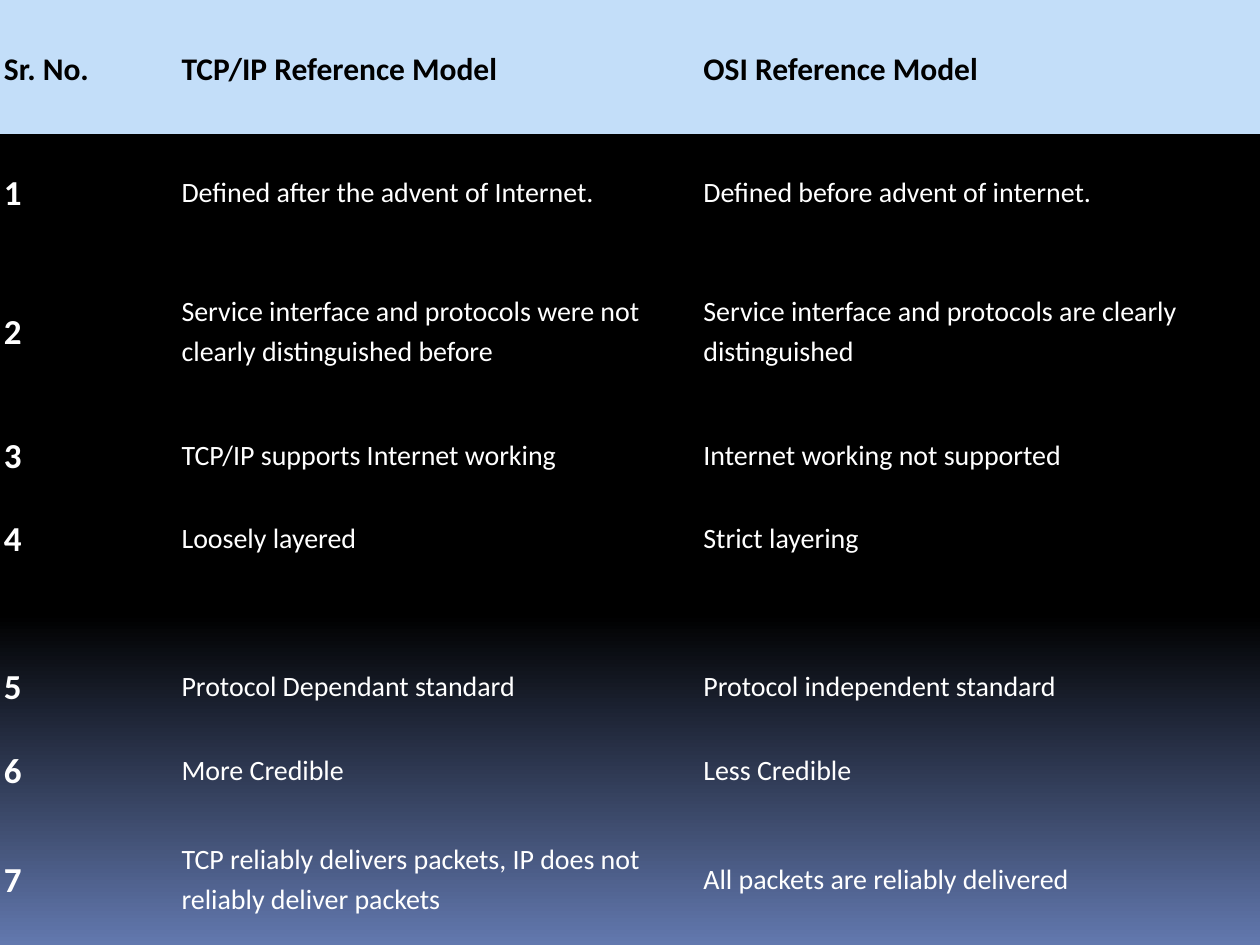
from copy import deepcopy
from pptx import Presentation
from pptx.dml.color import RGBColor
from pptx.enum.text import MSO_ANCHOR
from pptx.oxml.ns import qn
from pptx.util import Cm, Pt

MIDDLE = MSO_ANCHOR.MIDDLE
NO_STYLE = "{2D5ABB26-0587-4C30-8999-92F81FD0307C}"
COLS = [3.58, 10.52, 11.3]
HEIGHTS = [2.69, 2.29, 3.3, 1.68, 1.68, 1.3, 1.68, 1.68, 2.72]
ROWS = [
    ("Sr. No.", "TCP/IP Reference Model", "OSI Reference Model"),
    ("1", "Defined after the advent of Internet.", "Defined before advent of internet."),
    ("2", "Service interface and protocols were not clearly distinguished before",
     "Service interface and protocols are clearly distinguished"),
    ("3", "TCP/IP supports Internet working", "Internet working not supported"),
    ("4", "Loosely layered", "Strict layering"),
    ("", "", ""),
    ("5", "Protocol Dependant standard", "Protocol independent standard"),
    ("6", "More Credible", "Less Credible"),
    ("7", "TCP reliably delivers packets, IP does not reliably deliver packets",
     "All packets are reliably delivered"),
]
HEADER = {"size": Pt(18), "bold": True, "color": "000000"}
NUMBER = {"size": Pt(20), "bold": True, "color": "FFFFFF"}
BODY = {"size": Pt(16), "bold": False, "color": "FFFFFF"}
CELL = {"vertical_anchor": MIDDLE, "margin_left": Cm(0.08), "margin_right": Cm(0.08),
        "margin_top": Cm(0.08), "margin_bottom": Cm(0.08)}
PARAGRAPH = {"line_spacing": 1.15, "space_after": Pt(10)}


def rgb(value):
    return RGBColor.from_string(value)


def apply(target, values):
    for name, value in values.items():
        setattr(target, name, value)


def paint_background(s):
    fill = s.background.fill
    fill.gradient()
    fill.gradient_angle = 270
    stops = next(s.element.iter(qn("a:gsLst")))
    stops.append(deepcopy(stops[0]))
    colours = [(0, "000000"), (0.65, "000000"), (1, "6278AE")]
    for stop, (position, colour) in zip(fill.gradient_stops, colours):
        stop.position = position
        stop.color.rgb = rgb(colour)


def write_cell(cell, text, style):
    apply(cell, CELL)
    p = cell.text_frame.paragraphs[0]
    apply(p, PARAGRAPH)
    if text:
        r = p.add_run()
        r.text = text
        apply(r.font, {"name": "Calibri", "size": style["size"], "bold": style["bold"]})
        r.font.color.rgb = rgb(style["color"])


def add_comparison(s, left, top, width, height):
    frame = s.shapes.add_table(len(ROWS), len(COLS), left, top, width, height)
    table = frame.table
    apply(table, {"first_row": False, "horz_banding": False})
    next(frame.element.iter(qn("a:tableStyleId"))).text = NO_STYLE
    for column, share in zip(table.columns, COLS):
        column.width = int(width * share / sum(COLS))
    for row, share in zip(table.rows, HEIGHTS):
        row.height = int(height * share / sum(HEIGHTS))
    for i, texts in enumerate(ROWS):
        for j, text in enumerate(texts):
            cell = table.cell(i, j)
            write_cell(cell, text, HEADER if i == 0 else NUMBER if j == 0 else BODY)
            if i == 0:
                cell.fill.solid()
                cell.fill.fore_color.rgb = rgb("C3DEF9")
            else:
                cell.fill.background()


def main():
    prs = Presentation()
    prs.slide_width, prs.slide_height = Cm(25.4), Cm(19.05)
    s = prs.slides.add_slide(prs.slide_layouts[6])
    paint_background(s)
    add_comparison(s, 0, 0, prs.slide_width, prs.slide_height)
    prs.save("out.pptx")


if __name__ == "__main__":
    main()
